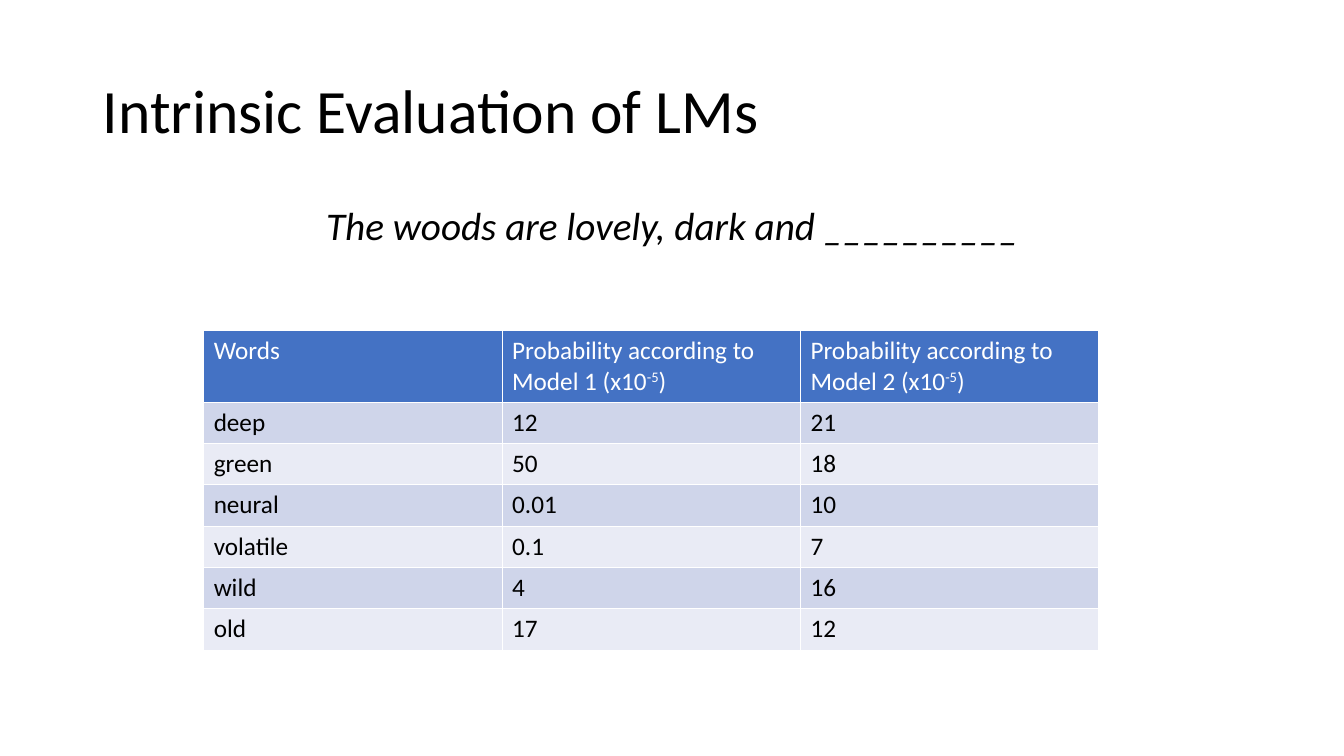
from lxml import etree
from pptx import Presentation
from pptx.dml.color import RGBColor
from pptx.enum import text
from pptx.oxml import ns
from pptx.util import Inches, Pt

TITLE = "Intrinsic Evaluation of LMs"
PROMPT = "The woods are lovely, dark and __________"
HEADERS = [
    ("Words",),
    ("Probability according to Model 1 (x10", "-5", ")"),
    ("Probability according to Model 2 (x10", "-5", ")"),
]
SCORES = [
    ("deep", "12", "21"),
    ("green", "50", "18"),
    ("neural", "0.01", "10"),
    ("volatile", "0.1", "7"),
    ("wild", "4", "16"),
    ("old", "17", "12"),
]

FONT = "Calibri"
BLACK = RGBColor(0x00, 0x00, 0x00)
WHITE = RGBColor(0xFF, 0xFF, 0xFF)
BLUE = RGBColor(0x44, 0x72, 0xC4)
BANDS = [RGBColor(0xCF, 0xD5, 0xEA), RGBColor(0xE9, 0xEB, 0xF5)]

COLUMN_WIDTH = 2.96
HEADER_HEIGHT = 0.7
ROW_HEIGHT = 0.41


def style_span(span, size, color, italic=False):
    span.font.name = FONT
    span.font.size = Pt(size)
    span.font.color.rgb = color
    span.font.bold = False
    span.font.italic = italic


def fill_placeholder(box, bounds, words, size, align, anchor, italic=False):
    box.left, box.top, box.width, box.height = map(Inches, bounds)
    frame = box.text_frame
    frame.text = words
    frame.word_wrap = True
    frame.auto_size = text.MSO_AUTO_SIZE.NONE
    frame.vertical_anchor = anchor
    para = frame.paragraphs[0]
    para.alignment = align
    para.line_spacing = 0.9
    para.space_before = Pt(0)
    style_span(para.runs[0], size, BLACK, italic)
    return para


def remove_bullet(para):
    properties = para._p.get_or_add_pPr()
    properties.set("marL", "0")
    properties.set("indent", "0")
    etree.SubElement(properties, ns.qn("a:buNone"))


def add_borders(cell, bottom_width):
    properties = cell._tc.get_or_add_tcPr()
    widths = {"a:lnL": 1, "a:lnR": 1, "a:lnT": 1, "a:lnB": bottom_width}
    for side, width in widths.items():
        line = etree.SubElement(properties, ns.qn(side), w=str(Pt(width)))
        fill = etree.SubElement(line, ns.qn("a:solidFill"))
        etree.SubElement(fill, ns.qn("a:srgbClr"), val=str(WHITE))


def fill_cell(cell, parts, color, background, bottom_width):
    para = cell.text_frame.paragraphs[0]
    for index, part in enumerate(parts):
        span = para.add_run()
        span.text = part
        style_span(span, 18, color)
        if index == 1:
            span.font._element.set("baseline", "30000")
    add_borders(cell, bottom_width)
    cell.fill.solid()
    cell.fill.fore_color.rgb = background


def add_score_table(page):
    width = COLUMN_WIDTH * len(HEADERS)
    height = HEADER_HEIGHT + ROW_HEIGHT * len(SCORES)
    table = page.shapes.add_table(
        len(SCORES) + 1, len(HEADERS),
        Inches(2.02), Inches(3.28), Inches(width), Inches(height),
    ).table
    for column in table.columns:
        column.width = Inches(COLUMN_WIDTH)
    for index, row in enumerate(table.rows):
        row.height = Inches(ROW_HEIGHT if index else HEADER_HEIGHT)
    for column, parts in enumerate(HEADERS):
        fill_cell(table.cell(0, column), parts, WHITE, BLUE, 1)
    for index, scores in enumerate(SCORES):
        for column, value in enumerate(scores):
            cell = table.cell(index + 1, column)
            fill_cell(cell, (value,), BLACK, BANDS[index % 2], 1)


def main():
    deck = Presentation()
    deck.slide_width, deck.slide_height = Inches(13.33), Inches(7.5)
    page = deck.slides.add_slide(deck.slide_layouts[1])
    fill_placeholder(
        page.shapes.title, (0.92, 0.4, 11.5, 1.45), TITLE, 44,
        text.PP_ALIGN.LEFT, text.MSO_ANCHOR.MIDDLE,
    )
    prompt = fill_placeholder(
        page.placeholders[1], (0.92, 2, 11.5, 0.85), PROMPT, 28,
        text.PP_ALIGN.CENTER, text.MSO_ANCHOR.TOP, italic=True,
    )
    remove_bullet(prompt)
    add_score_table(page)
    deck.save("out.pptx")


if __name__ == "__main__":
    main()
